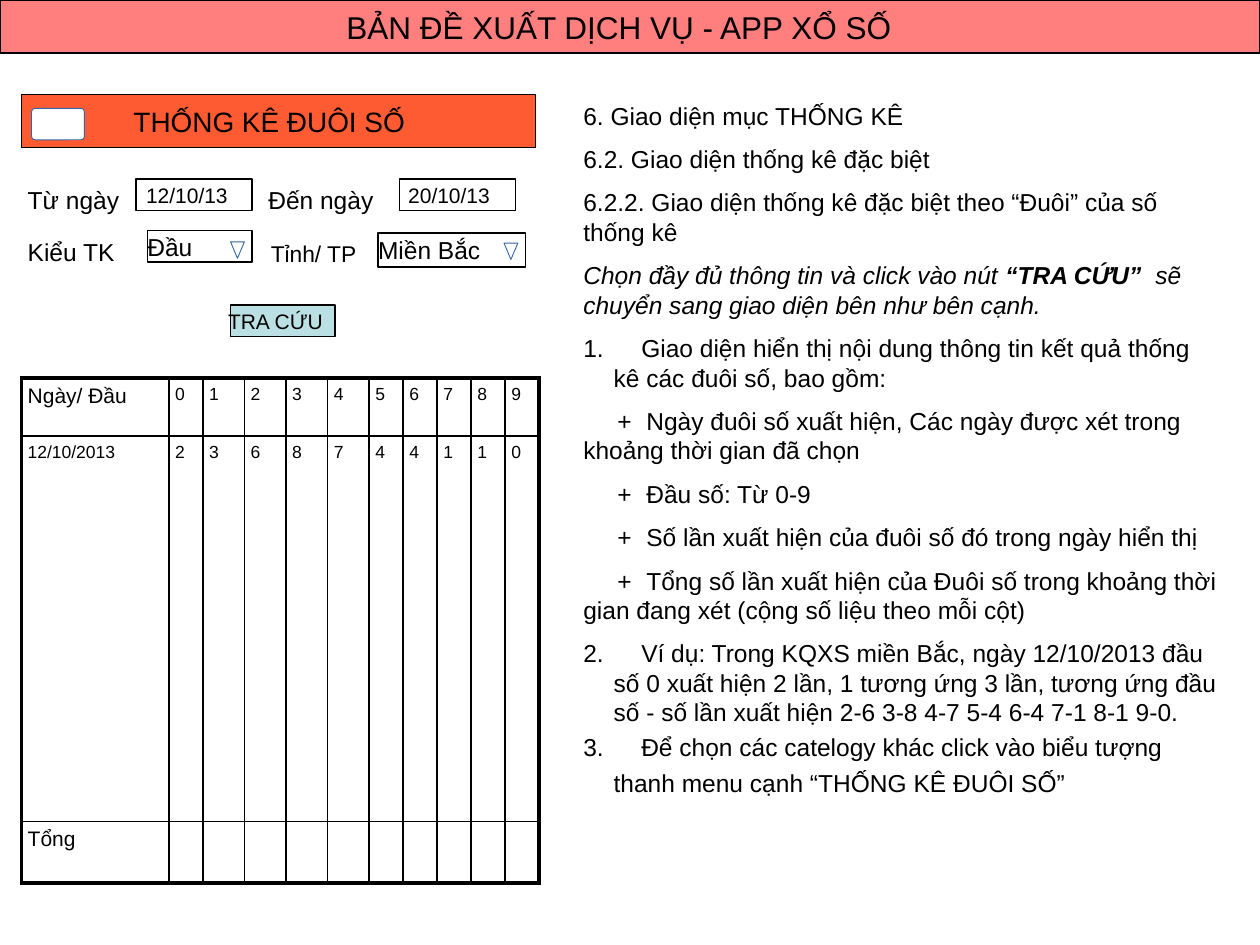
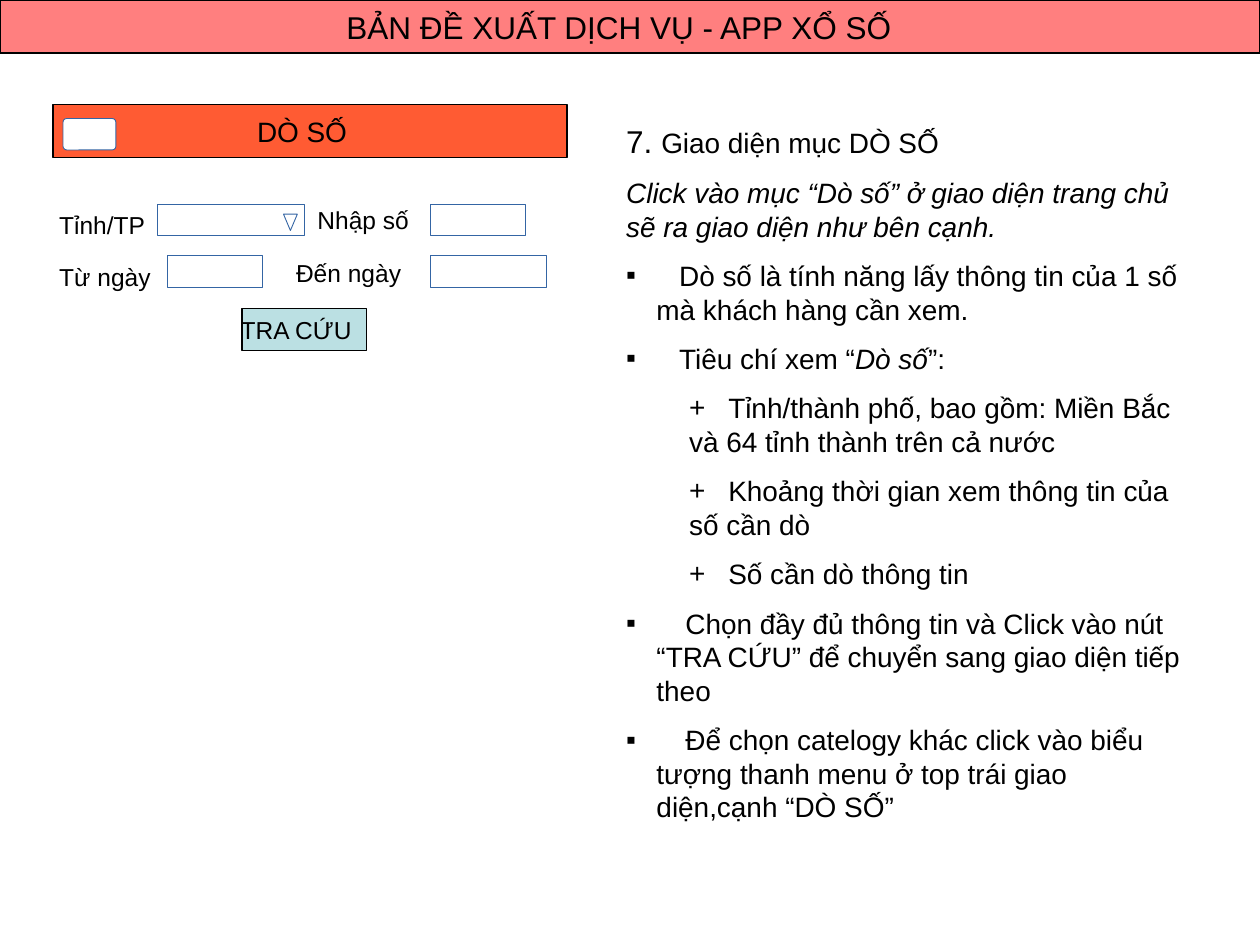
"""Build two slides that propose the screens of a lottery app."""
from dataclasses import dataclass
from typing import Optional

from lxml import etree
from pptx import Presentation
from pptx.dml.color import RGBColor
from pptx.enum.shapes import MSO_SHAPE
from pptx.enum.text import MSO_ANCHOR
from pptx.oxml.ns import qn
from pptx.util import Inches, Pt

RECTANGLE = MSO_SHAPE.RECTANGLE
ROUNDED = MSO_SHAPE.ROUNDED_RECTANGLE
ARROW = MSO_SHAPE.FLOWCHART_MERGE
TOP, MIDDLE = MSO_ANCHOR.TOP, MSO_ANCHOR.MIDDLE
FONT = "Arial"
BLACK, WHITE, BLUE = "000000", "FFFFFF", "3465A4"
RED, ORANGE, TEAL = "FF0000", "FF3300", "BBE0E3"
HANG = 0.24
INSET = 0.05
THICK, THIN = 2.25, 1
COLUMNS = [1.17, 0.27] + [0.33] * 4 + [0.27] * 5
ROWS = [0.46, 3.06, 0.49]
COUNTS = [
    ["Ngày/ Đầu", *"0123456789"],
    ["12/10/2013", *"2368744110"],
    ["Tổng"] + [""] * 10,
]


@dataclass
class Span:
    """A run of text in one style."""
    text: str
    size: float = 14
    bold: bool = False
    italic: bool = False


@dataclass
class Para:
    """A paragraph with its spacing, marker and indents."""
    spans: list[Span]
    before: float = 0
    left: float = 0
    first: float = 0
    gap: float = 0
    bullet: str = ""
    number: int = 0
    spacing: Optional[float] = None


@dataclass
class Box:
    """A place on the slide, in inches."""
    left: float
    top: float
    width: float
    height: float

    def lengths(self) -> list[int]:
        """Return the four lengths in the order python-pptx takes them."""
        return [Inches(n) for n in (self.left, self.top, self.width, self.height)]


@dataclass
class Field:
    """A bordered box with the left edge and width of its text."""
    box: Box
    text: str
    text_left: float
    text_width: float
    size: float = 14
    fill: str = WHITE


def colour(value: str) -> RGBColor:
    """Turn a hex string into a colour."""
    return RGBColor.from_string(value)


def add_mark(parent, tag: str, **attributes: str):
    """Append a drawing element with attributes."""
    return etree.SubElement(parent, qn(tag), attributes)


def write_para(paragraph, para: Para) -> None:
    """Fill one paragraph run by run."""
    paragraph.space_before = Pt(para.before)
    if para.spacing:
        paragraph.line_spacing = para.spacing
    properties = paragraph._p.get_or_add_pPr()
    properties.set("marL", str(Inches(para.left)))
    properties.set("indent", str(Inches(para.first)))
    if para.number:
        add_mark(properties, "a:buFont", typeface=FONT)
        add_mark(properties, "a:buAutoNum", type="arabicPeriod", startAt=str(para.number))
    elif para.bullet:
        add_mark(properties, "a:buFont", typeface=FONT)
        add_mark(properties, "a:buChar", char=para.bullet)
    else:
        add_mark(properties, "a:buNone")
    if para.gap:
        stops = add_mark(properties, "a:tabLst")
        for stop in sorted({para.gap, para.left + para.gap}):
            add_mark(stops, "a:tab", pos=str(Inches(stop)), algn="l")
    for span in para.spans:
        run = paragraph.add_run()
        run.text = span.text
        run.font.name = FONT
        run.font.size = Pt(span.size)
        run.font.bold = span.bold
        run.font.italic = span.italic
        run.font.color.rgb = colour(BLACK)


def add_text(page, box: Box, paras: list[Para], inset: float = INSET, anchor=TOP) -> None:
    """Add a wrapping text box."""
    frame = page.shapes.add_textbox(*box.lengths()).text_frame
    frame.word_wrap = True
    frame.vertical_anchor = anchor
    frame.margin_left = frame.margin_right = Inches(inset)
    frame.margin_top = frame.margin_bottom = Inches(inset)
    for index, para in enumerate(paras):
        write_para(frame.add_paragraph() if index else frame.paragraphs[0], para)


def add_box(page, box: Box, fill: str = WHITE, line: str = BLUE, width: float = 0.5,
            kind=RECTANGLE, opacity: int = 100):
    """Add a filled and outlined preset shape."""
    shape = page.shapes.add_shape(kind, *box.lengths())
    shape.shadow.inherit = False
    shape.fill.solid()
    shape.fill.fore_color.rgb = colour(fill)
    shape.line.color.rgb = colour(line)
    shape.line.width = Pt(width)
    if opacity < 100:
        tint = shape._element.spPr.find(qn("a:solidFill"))[0]
        add_mark(tint, "a:alpha", val=str(opacity * 1000))
    return shape


def add_arrow(page, left: float, top: float) -> None:
    """Add the small triangle of a drop-down list."""
    add_box(page, Box(left, top, 0.11, 0.13), kind=ARROW)


def add_label(page, text: str, left: float, top: float, size: float = 14) -> None:
    """Add the caption of a form field."""
    add_text(page, Box(left, top, 1.33, 0.32), [Para([Span(text, size)], before=8)])


def add_field(page, field: Field) -> None:
    """Add a field or button and the text on it."""
    box = field.box
    add_box(page, box, field.fill, BLACK, 0.75)
    add_text(page, Box(field.text_left, box.top, field.text_width, box.height),
             [Para([Span(field.text, field.size)])], 0, MIDDLE)


def add_band(page, box: Box, fill: str, opacity: int, text: str, text_left: float,
             size: float) -> None:
    """Add a translucent band with a heading."""
    add_box(page, box, fill, BLACK, 0.75, opacity=opacity)
    add_text(page, Box(text_left, box.top, 4.5, box.height),
             [Para([Span(text, size)])], 0, MIDDLE)


def add_header(page, left: float, top: float, text: str, text_left: float) -> None:
    """Add the app screen header with its menu button."""
    add_band(page, Box(left, top, 4.08, 0.42), ORANGE, 80, text, text_left, 16)
    button = add_box(page, Box(left + 0.08, top + 0.11, 0.42, 0.25), kind=ROUNDED)
    button.adjustments[0] = 0.12


def add_page(deck):
    """Add a blank page with the shared title band."""
    page = deck.slides.add_slide(deck.slide_layouts[6])
    add_band(page, Box(0, 0, 10, 0.42), RED, 50, "BẢN ĐỀ XUẤT DỊCH VỤ - APP XỔ SỐ", 2.75, 18)
    return page


def border_cell(cell, widths: dict[str, float]) -> None:
    """Draw the four borders of a cell ahead of its fill."""
    properties = cell._tc.get_or_add_tcPr()
    for index, (side, width) in enumerate(widths.items()):
        line = etree.Element(qn(f"a:{side}"), w=str(Pt(width)))
        add_mark(add_mark(line, "a:solidFill"), "a:srgbClr", val=BLACK)
        properties.insert(index, line)


def add_counts(page) -> None:
    """Add the table of counts by date and digit."""
    box = Box(0.17, 3, sum(COLUMNS), sum(ROWS))
    table = page.shapes.add_table(len(ROWS), len(COLUMNS), *box.lengths()).table
    table.first_row = table.horz_banding = False
    for column, width in zip(table.columns, COLUMNS):
        column.width = Inches(width)
    for row, height in zip(table.rows, ROWS):
        row.height = Inches(height)
    last_row, last_column = len(ROWS) - 1, len(COLUMNS) - 1
    for y, texts in enumerate(COUNTS):
        for x, text in enumerate(texts):
            cell = table.cell(y, x)
            cell.margin_left = cell.margin_right = Inches(INSET)
            cell.margin_top = cell.margin_bottom = Inches(INSET)
            cell.fill.background()
            border_cell(cell, {
                "lnL": THICK if x == 0 else THIN,
                "lnR": THICK if x == last_column else THIN,
                "lnT": THICK if y == 0 else THIN,
                "lnB": THICK if y == last_row else THIN,
            })
            if text:
                size = 12 if x == 0 and y != 1 else 10
                write_para(cell.text_frame.paragraphs[0], Para([Span(text, size)], before=2))


def numbered(number: int, text: str, before: float = 8,
             spacing: Optional[float] = None) -> Para:
    """Return a numbered paragraph."""
    return Para([Span("\t" + text)], before, HANG, -HANG, 0.22, number=number, spacing=spacing)


def plus(text: str) -> Para:
    """Return a paragraph whose first line opens with a plus sign."""
    return Para([Span("+\t" + text)], 8, first=0.27, gap=0.55)


def square(spans: list[Span], gap: float = 0.18) -> Para:
    """Return a paragraph with a square bullet."""
    return Para([Span("\t", 16)] + spans, 9, HANG, -HANG, gap, "▪")


def sub_item(text: str) -> Para:
    """Return a second-level paragraph with a plus bullet."""
    return Para([Span("\t" + text, 16)], 9, 0.5, 0, 0.31, "+")


def build_statistics(deck) -> None:
    """Build the page on statistics by last digit."""
    page = add_page(deck)
    add_counts(page)
    add_text(page, Box(4.58, 0.75, 5.17, 5.67), [
        Para([Span("6. Giao diện mục THỐNG KÊ")], 8),
        Para([Span("6.2. Giao diện thống kê đặc biệt")], 8),
        Para([Span("6.2.2. Giao diện thống kê đặc biệt theo “Đuôi” của số thống kê")], 8),
        Para([Span("Chọn đầy đủ thông tin và click vào nút", italic=True),
              Span(" “TRA CỨU” ", bold=True, italic=True),
              Span(" sẽ chuyển sang giao diện bên như bên cạnh.", italic=True)], 8),
        numbered(1, "Giao diện hiển thị nội dung thông tin kết quả thống kê các đuôi số, bao gồm:"),
        plus("Ngày đuôi số xuất hiện, Các ngày được xét trong khoảng thời gian đã chọn"),
        plus("Đầu số: Từ 0-9"),
        plus("Số lần xuất hiện của đuôi số đó trong ngày hiển thị"),
        plus("Tổng số lần xuất hiện của Đuôi số trong khoảng thời gian đang xét "
             "(cộng số liệu theo mỗi cột)"),
        numbered(2, "Ví dụ: Trong KQXS miền Bắc, ngày 12/10/2013 đầu số 0 xuất hiện 2 lần, "
                    "1 tương ứng 3 lần, tương ứng đầu số - số lần xuất hiện "
                    "2-6 3-8 4-7 5-4 6-4 7-1 8-1 9-0."),
        numbered(3, "Để chọn các catelogy khác click vào biểu tượng thanh menu cạnh "
                    "“THỐNG KÊ ĐUÔI SỐ”", 0, 1.2),
    ])
    add_header(page, 0.17, 0.75, "THỐNG KÊ ĐUÔI SỐ", 1.06)
    add_label(page, "Từ ngày", 0.17, 1.42)
    add_label(page, "Đến ngày", 2.08, 1.42)
    add_label(page, "Kiểu TK", 0.17, 1.83)
    add_label(page, "Tỉnh/ TP", 2.1, 1.85, 13)
    for field in (
        Field(Box(1.08, 1.42, 0.92, 0.25), "12/10/13", 1.16, 0.76, 12),
        Field(Box(3.17, 1.42, 0.92, 0.25), "20/10/13", 3.24, 0.76, 12),
        Field(Box(1.83, 2.42, 0.83, 0.25), "TRA CỨU", 1.81, 0.88, 12, TEAL),
        Field(Box(1.17, 1.83, 0.83, 0.25), "Đầu", 1.17, 0.47),
        Field(Box(3, 1.85, 1.17, 0.27), "Miền Bắc", 3, 0.92),
    ):
        add_field(page, field)
    add_arrow(page, 1.83, 1.92)
    add_arrow(page, 4, 1.93)


def build_lookup(deck) -> None:
    """Build the page on looking up a number."""
    page = add_page(deck)
    add_field(page, Field(Box(1.92, 2.45, 0.99, 0.33), "TRA CỨU", 1.91, 1, 14, TEAL))
    for left, top, width in ((1.25, 1.62, 1.17), (3.42, 1.62, 0.75),
                             (1.33, 2.03, 0.75), (3.42, 2.03, 0.92)):
        add_box(page, Box(left, top, width, 0.25))
    add_arrow(page, 2.25, 1.7)
    add_label(page, "Nhập số", 2.47, 1.58)
    add_label(page, "Tỉnh/TP", 0.42, 1.62)
    add_label(page, "Từ ngày", 0.42, 2.03)
    add_label(page, "Đến ngày", 2.3, 2)
    add_text(page, Box(4.92, 0.92, 4.58, 5.45), [
        Para([Span("7. ", 18), Span("Giao diện mục DÒ SỐ", 16)], 10),
        Para([Span("Click vào mục “Dò số” ở giao diện trang chủ sẽ ra giao diện "
                   "như bên cạnh.", 16, italic=True)], 9),
        square([Span("Dò số là tính năng lấy thông tin của 1 số mà khách hàng cần xem.", 16)]),
        square([Span("Tiêu chí xem “", 16), Span("Dò số", 16, italic=True), Span("”:", 16)]),
        sub_item("Tỉnh/thành phố, bao gồm: Miền Bắc và 64 tỉnh thành trên cả nước"),
        sub_item("Khoảng thời gian xem thông tin của số cần dò"),
        sub_item("Số cần dò thông tin"),
        square([Span("Chọn đầy đủ thông tin và Click vào nút “TRA CỨU” để chuyển sang "
                     "giao diện tiếp theo", 16)], 0.23),
        square([Span("Để chọn catelogy khác click vào biểu tượng thanh menu ở top trái "
                     "giao diện,cạnh “DÒ SỐ”", 16)], 0.23),
    ])
    add_header(page, 0.42, 0.83, "DÒ SỐ", 2.04)


def main() -> None:
    """Build and save the deck."""
    deck = Presentation()
    deck.slide_width, deck.slide_height = Inches(10), Inches(7.5)
    build_statistics(deck)
    build_lookup(deck)
    deck.save("out.pptx")


main()
